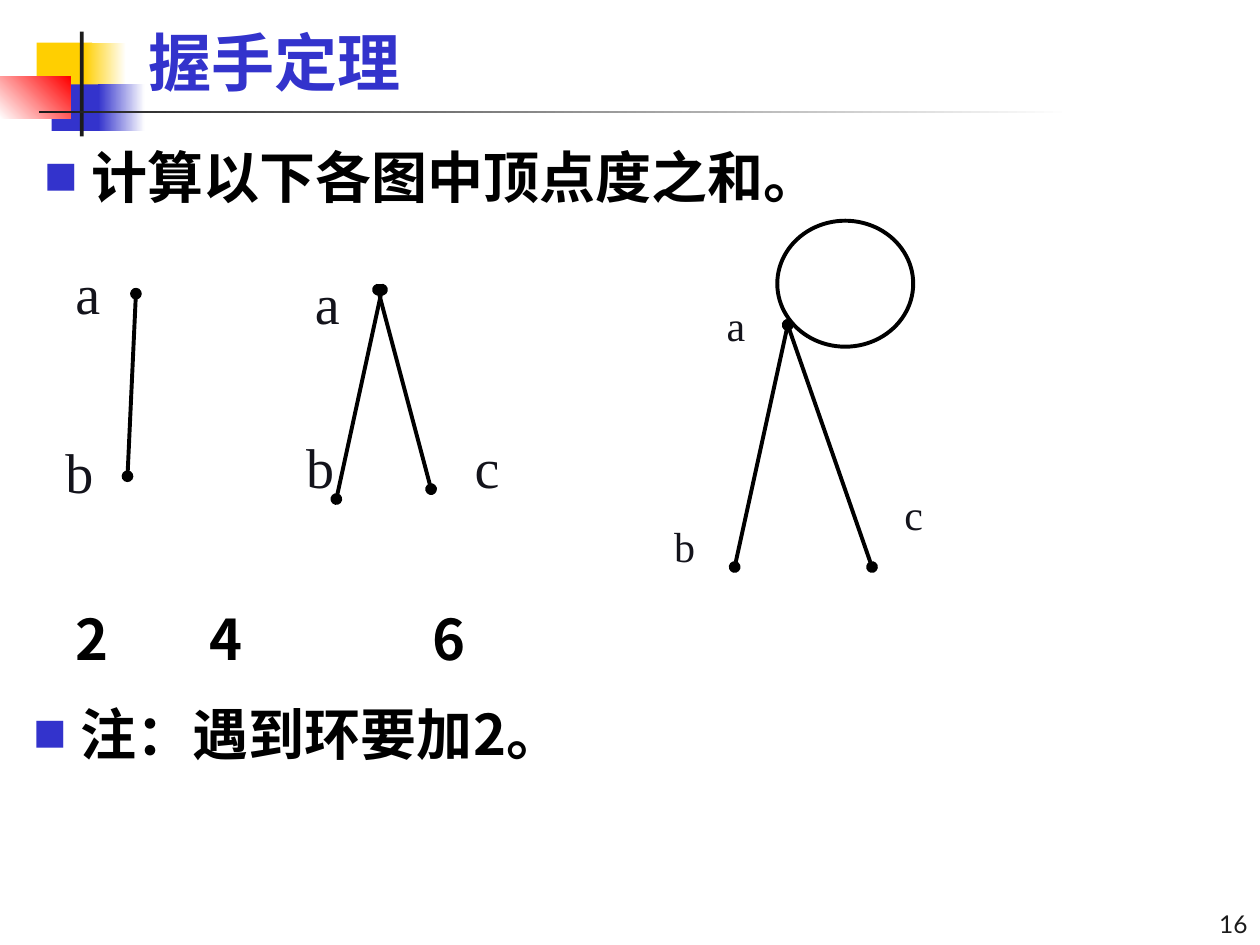
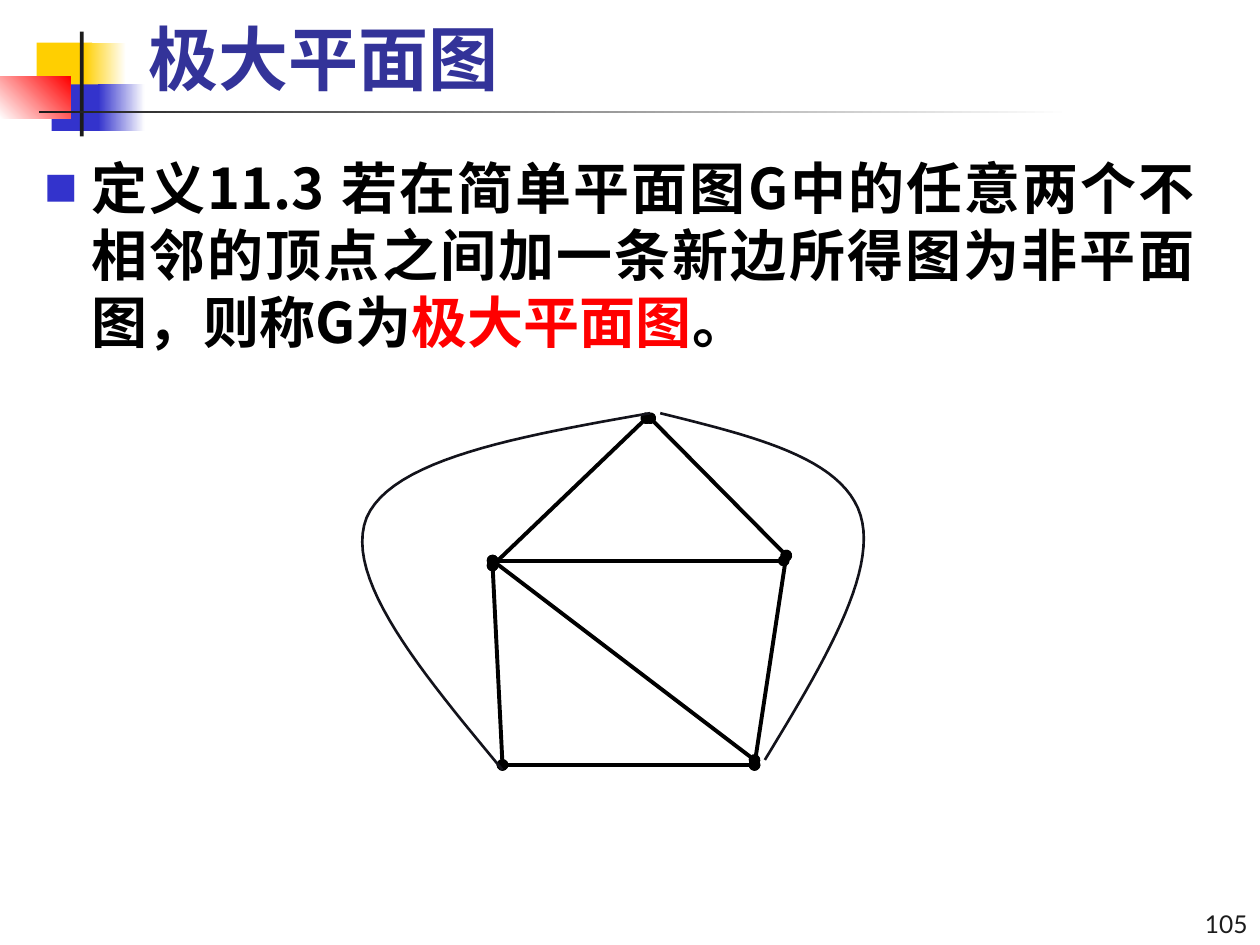
from typing import NamedTuple

from lxml import etree
from pptx import Presentation
from pptx.dml.color import RGBColor
from pptx.enum import shapes as es, text as et
from pptx.oxml import ns
from pptx.util import Cm, Pt

BLACK = RGBColor(0x00, 0x00, 0x00)
WHITE = RGBColor(0xFF, 0xFF, 0xFF)
RED = RGBColor(0xFF, 0x00, 0x00)
GOLD = RGBColor(0xFF, 0xCF, 0x01)
BLUE = RGBColor(0x33, 0x33, 0xCC)
NAVY = RGBColor(0x33, 0x33, 0x99)
COAL = RGBColor(0x1C, 0x1C, 0x1C)
INK = RGBColor(0x13, 0x13, 0x1B)
SANS = "Noto Sans CJK SC"
SERIF = "Times New Roman"
LATO = "Lato"


class Box(NamedTuple):
    x: float
    y: float
    w: float
    h: float


class Band(NamedTuple):
    box: Box
    start: RGBColor
    end: RGBColor | None = None
    angle: float = 0


class Style(NamedTuple):
    font: str
    size: float
    color: RGBColor
    bold: bool = False


class Label(NamedTuple):
    text: str
    x: float
    y: float
    size: int = 32


class Edge(NamedTuple):
    x1: float
    y1: float
    x2: float
    y2: float


BANDS = [
    Band(Box(0.74, 0.86, 1.12, 0.97), GOLD),
    Band(Box(1.7, 0.86, 0.84, 0.97), GOLD, WHITE),
    Band(Box(1.04, 1.7, 1.07, 0.94), BLUE),
    Band(Box(1.98, 1.7, 0.94, 0.94), BLUE, WHITE),
    Band(Box(0, 1.55, 1.42, 0.84), WHITE, RED, 45),
    Band(Box(1.61, 0.64, 0.08, 2.11), COAL),
    Band(Box(0.79, 2.24, 20.8, 0.05), COAL, WHITE),
]
TITLE = Box(2.74, 0.43, 21.39, 1.7)
FOOT = Box(22.02, 17.98, 3.38, 1.07)
BODY = Style(SANS, 32, BLACK, True)

LABELS = [
    Label("a", 1.27, 5.08), Label("b", 1.07, 8.69),
    Label("a", 6.1, 5.28), Label("b", 5.92, 8.59), Label("c", 9.32, 8.59),
    Label("a", 14.4, 5.92, 24), Label("b", 13.34, 10.36, 24),
    Label("c", 17.98, 9.73, 24),
]
PATHS = [
    Edge(2.57, 9.6, 2.74, 5.92),
    Edge(7.62, 5.84, 8.69, 9.86), Edge(6.78, 10.06, 7.7, 5.84),
    Edge(15.88, 6.55, 17.58, 11.43), Edge(14.81, 11.43, 15.88, 6.55),
]
LOOP = Box(15.67, 4.45, 2.74, 2.54)
SUMS = ["2", "4", "6"]
STOPS = [2.7, 7.2]

PLANAR = [
    Edge(13.11, 8.43, 15.85, 11.2), Edge(9.93, 11.4, 13.03, 8.43),
    Edge(9.93, 11.4, 10.13, 15.42), Edge(15.85, 11.2, 15.21, 15.42),
    Edge(10.13, 15.42, 15.21, 15.42), Edge(9.93, 11.3, 15.8, 11.3),
    Edge(9.93, 11.3, 15.21, 15.32),
]
CURVES = [
    [(13.11, 8.33), (10.49, 8.79), (7.9, 9.25), (7.39, 10.44),
     (6.91, 11.66), (8.53, 13.59), (10.13, 15.52)],
    [(13.31, 8.33), (15.16, 8.79), (16.99, 9.22), (17.35, 10.39),
     (17.7, 11.56), (16.56, 13.44), (15.42, 15.32)],
]


def place(box: Box) -> list[Cm]:
    return [Cm(v) for v in box]


def add(node, tag: str, **attrs: str):
    return etree.SubElement(node, ns.qn(tag), attrs)


def format_run(run, style: Style) -> None:
    font = run.font
    font.size, font.bold = Pt(style.size), style.bold
    font.color.rgb = style.color
    font.name = style.font
    add(run._r.get_or_add_rPr(), "a:ea", typeface=style.font)


def add_text(slide, box: Box, words: str, style: Style):
    shape = slide.shapes.add_textbox(*place(box))
    shape.text_frame.word_wrap = True
    par = shape.text_frame.paragraphs[0]
    par.text = words
    format_run(par.runs[0], style)
    return shape


def add_point(slide, box: Box, parts: list[tuple[str, RGBColor]]) -> None:
    shape = slide.shapes.add_textbox(*place(box))
    shape.text_frame.word_wrap = True
    par = shape.text_frame.paragraphs[0]
    par.alignment = et.PP_ALIGN.JUSTIFY
    props = par._p.get_or_add_pPr()
    props.set("marL", str(Cm(0.95)))
    props.set("indent", str(-Cm(0.95)))
    add(add(props, "a:buClr"), "a:srgbClr", val=str(BLUE))
    add(props, "a:buSzPct", val="60000")
    add(props, "a:buFont", typeface=SANS)
    add(props, "a:buChar", char="■")
    for words, color in parts:
        run = par.add_run()
        run.text = words
        format_run(run, BODY._replace(color=color))


def add_band(slide, band: Band) -> None:
    shape = slide.shapes.add_shape(es.MSO_SHAPE.RECTANGLE, *place(band.box))
    shape.shadow.inherit = False
    shape.line.fill.background()
    if band.end is None:
        shape.fill.solid()
        shape.fill.fore_color.rgb = band.start
        return
    shape.fill.gradient()
    shape.fill.gradient_angle = band.angle
    for stop, color, pos in zip(shape.fill.gradient_stops,
                                (band.start, band.end), (0, 1)):
        stop.color.rgb = color
        stop.position = pos


def add_edge(slide, edge: Edge) -> None:
    line = slide.shapes.add_connector(
        es.MSO_CONNECTOR.STRAIGHT, *[Cm(v) for v in edge])
    line.line.color.rgb = BLACK
    line.line.width = Pt(2.25)
    stroke = line.line._get_or_add_ln()
    add(stroke, "a:headEnd", type="oval")
    add(stroke, "a:tailEnd", type="oval")
    add(line._element.spPr, "a:effectLst")


def outline(shape, color: RGBColor, width: float) -> None:
    shape.shadow.inherit = False
    shape.fill.background()
    shape.line.color.rgb = color
    shape.line.width = Pt(width)


def bezier(knots: list[tuple[float, float]], t: float) -> tuple[int, int]:
    s = 1 - t
    rates = (s ** 3, 3 * s * s * t, 3 * s * t * t, t ** 3)
    x, y = (sum(r * v for r, v in zip(rates, axis)) for axis in zip(*knots))
    return Cm(x), Cm(y)


def add_curve(slide, knots: list[tuple[float, float]]) -> None:
    steps = 24
    points = [bezier(knots[i:i + 4], n / steps)
              for i in (0, 3) for n in range(1, steps + 1)]
    x, y = knots[0]
    pen = slide.shapes.build_freeform(Cm(x), Cm(y))
    pen.add_line_segments(points, close=False)
    outline(pen.convert_to_shape(), INK, 1.5)


def add_page(deck, name: str, style: Style, number: str):
    slide = deck.slides.add_slide(deck.slide_layouts[5])
    for band in BANDS:
        add_band(slide, band)
    title = slide.shapes.title
    title.left, title.top, title.width, title.height = place(TITLE)
    frame = title.text_frame
    frame.text = name
    frame.auto_size = et.MSO_AUTO_SIZE.NONE
    frame.vertical_anchor = et.MSO_ANCHOR.BOTTOM
    frame.paragraphs[0].alignment = et.PP_ALIGN.LEFT
    format_run(frame.paragraphs[0].runs[0], style)
    foot = add_text(slide, FOOT, number, Style(LATO, 14, COAL)).text_frame
    foot.vertical_anchor = et.MSO_ANCHOR.BOTTOM
    foot.paragraphs[0].alignment = et.PP_ALIGN.RIGHT
    return slide


def add_sums(slide) -> None:
    shape = add_text(slide, Box(1.27, 12.07, 19.25, 1.6),
                     "\t".join(SUMS), BODY)
    props = shape.text_frame.paragraphs[0]._p.get_or_add_pPr()
    tabs = add(props, "a:tabLst")
    for stop in STOPS:
        add(tabs, "a:tab", pos=str(Cm(stop)), algn="l")


def draw_degrees(deck) -> None:
    slide = add_page(deck, "握手定理", Style(SANS, 36, BLUE, True), "16")
    for label in LABELS:
        add_text(slide, Box(label.x, label.y, 1.09, label.size / 20),
                 label.text, Style(SERIF, label.size, INK))
    for edge in PATHS:
        add_edge(slide, edge)
    loop = slide.shapes.add_shape(es.MSO_SHAPE.OVAL, *place(LOOP))
    outline(loop, BLACK, 2.25)
    add_sums(slide)
    add_point(slide, Box(0.43, 13.97, 23.7, 1.6),
              [("注：遇到环要加2。", BLACK)])
    add_point(slide, Box(0.64, 2.74, 23.7, 1.6),
              [("计算以下各图中顶点度之和。", BLACK)])


def draw_planar(deck) -> None:
    slide = add_page(deck, "极大平面图", Style(SANS, 40, NAVY, True), "105")
    add_point(slide, Box(0.64, 2.97, 23.7, 4.32), [
        ("定义11.3 若在简单平面图G中的任意两个不相邻的顶点之间"
         "加一条新边所得图为非平面图，则称G为", BLACK),
        ("极大平面图", RED),
        ("。", BLACK),
    ])
    for edge in PLANAR:
        add_edge(slide, edge)
    for knots in CURVES:
        add_curve(slide, knots)


def main() -> None:
    deck = Presentation()
    deck.slide_width, deck.slide_height = Cm(25.4), Cm(19.05)
    draw_degrees(deck)
    draw_planar(deck)
    deck.save("out.pptx")


if __name__ == "__main__":
    main()
